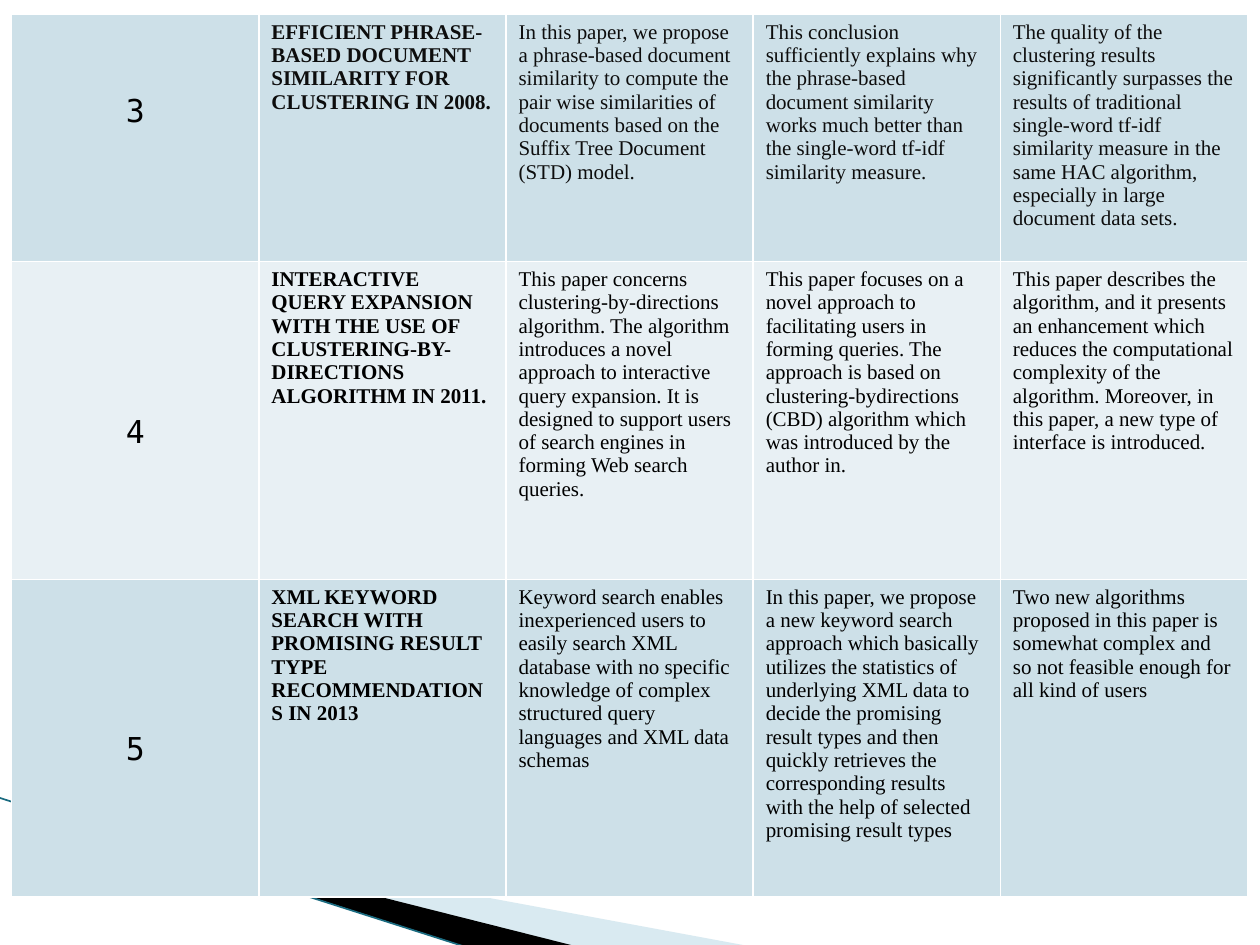
from lxml.etree import SubElement
from pptx import Presentation
from pptx.dml.color import RGBColor
from pptx.enum.text import PP_ALIGN
from pptx.oxml.ns import qn
from pptx.util import Inches, Pt

WIDE, HIGH = Inches(10), Inches(7.5)
ROWS = [
    (28, "CDE0E8", "0D0D0D", 2, [
        "3",
        "EFFICIENT PHRASE-BASED DOCUMENT SIMILARITY FOR CLUSTERING IN 2008.",
        "In this paper, we propose a phrase-based document similarity to compute the pair wise similarities of documents based on the Suffix Tree Document (STD) model.",
        "This conclusion sufficiently explains why the phrase-based document similarity works much better than the single-word tf-idf similarity measure.",
        "The quality of the clustering results significantly surpasses the results of traditional single-word tf-idf similarity measure in the same HAC algorithm, especially in large document data sets.",
    ]),
    (36, "E8F0F4", "000000", 4, [
        "4",
        "INTERACTIVE QUERY EXPANSION WITH THE USE OF CLUSTERING-BY-DIRECTIONS ALGORITHM IN 2011.",
        "This paper concerns clustering-by-directions algorithm. The algorithm introduces a novel approach to interactive query expansion. It is designed to support users of search engines in forming Web search queries.",
        "This paper focuses on a novel approach to facilitating users in forming queries. The approach is based on clustering-bydirections (CBD) algorithm which was introduced by the author in.",
        "This paper describes the algorithm, and it presents an enhancement which reduces the computational complexity of the algorithm. Moreover, in this paper, a new type of interface is introduced.",
    ]),
    (36, "CDE0E8", "000000", 4, [
        "5",
        "XML KEYWORD SEARCH WITH PROMISING RESULT TYPE RECOMMENDATIONS IN 2013",
        "Keyword search enables inexperienced users to easily search XML database with no specific knowledge of complex structured query languages and XML data schemas",
        "In this paper, we propose a new keyword search approach which basically utilizes the statistics of underlying XML data to decide the promising result types and then quickly retrieves the corresponding results with the help of selected promising result types",
        "Two new algorithms proposed in this paper is somewhat complex and so not feasible enough for all kind of users",
    ]),
]
BANDS = [
    ("A0CBDC", 40, (7.8, 72.93, 41.6, 21.07),
     [(9.17, 15.38), (99.17, 100.85), (76, 100.85), (9.17, 14.53)]),
    ("000000", 100, (-0.6, 84.4, 41.6, 12.27),
     [(8.83, 13.68), (76.17, 100.85), (62, 101.71), (9, 14.53)]),
]
NUMBER = {"size": Pt(18), "name": "DejaVu Sans Mono", "bold": False}
TITLE = {"size": Pt(12), "name": "Times New Roman", "bold": True}
BODY = {**TITLE, "bold": False}
LOOKS = [NUMBER, TITLE, BODY, BODY, BODY]
LINE = Inches(0.29)


def paint(color, value):
    color.rgb = RGBColor.from_string(value)


def share(left, top, width, height):
    return (round(WIDE * left / 100), round(HIGH * top / 100),
            round(WIDE * width / 100), round(HIGH * height / 100))


def point(box, x, y):
    left, top, width, height = box
    return round(left + width * x / 100), round(top + height * y / 100)


def set_frame(band, box):
    left, top, width, height = box
    trail = band._element.find(".//" + qn("a:path"))
    for spot in trail.iter(qn("a:pt")):
        spot.set("x", str(int(spot.get("x")) + band.left - left))
        spot.set("y", str(int(spot.get("y")) + band.top - top))
    trail.set("w", str(width))
    trail.set("h", str(height))
    band.left, band.top, band.width, band.height = box


def add_bands(slide, box):
    for color, alpha, frame, spots in BANDS:
        first, *rest = [point(box, *spot) for spot in spots]
        pen = slide.shapes.build_freeform(*first)
        pen.add_line_segments(rest)
        band = pen.convert_to_shape()
        set_frame(band, share(*frame))
        band.shadow.inherit = False
        band.line.fill.background()
        band.fill.solid()
        paint(band.fill.fore_color, color)
        if alpha < 100:
            tone = band.fill._xPr.find(".//" + qn("a:srgbClr"))
            SubElement(tone, qn("a:alpha"), val=str(alpha * 1000))
    edge = slide.shapes.add_connector(1, *point(box, -0.17, 0), *point(box, 61.83, 101.71))
    edge.line.width = Pt(0.95)
    paint(edge.line.color, "1A6B80")
    SubElement(edge._element.spPr, qn("a:effectLst"))


def add_rules(cell):
    props = cell._tc.get_or_add_tcPr()
    for spot, side in enumerate(("a:lnL", "a:lnR", "a:lnT", "a:lnB")):
        rule = props.makeelement(qn(side), {"w": str(Pt(1))})
        fill = SubElement(rule, qn("a:solidFill"))
        SubElement(fill, qn("a:srgbClr"), val="FFFFFF")
        props.insert(spot, rule)


def fill_cell(cell, text, back, ink, look):
    cell.fill.solid()
    paint(cell.fill.fore_color, back)
    add_rules(cell)
    run = cell.text_frame.paragraphs[0].add_run()
    run.text = text
    for name, value in look.items():
        setattr(run.font, name, value)
    paint(run.font.color, ink)


def add_grid(slide, box):
    table = slide.shapes.add_table(len(ROWS), len(LOOKS), *box).table
    table.first_row = table.horz_banding = False
    for column in table.columns:
        column.width = round(box[2] / len(LOOKS))
    for row, (part, back, ink, skip, texts) in zip(table.rows, ROWS):
        row.height = round(box[3] * part / 100)
        for cell, text, look in zip(row.cells, texts, LOOKS):
            fill_cell(cell, text, back, "000000" if look is NUMBER else ink, look)
        number = row.cells[0]
        number.margin_top = Inches(0.05) + LINE * skip
        number.text_frame.paragraphs[0].alignment = PP_ALIGN.CENTER


def main():
    deck = Presentation()
    deck.slide_width, deck.slide_height = WIDE, HIGH
    slide = deck.slides.add_slide(deck.slide_layouts[6])
    add_bands(slide, share(0, 84.4, 60, 15.6))
    add_grid(slide, share(0.92, 1.5, 98.1, 93.45))
    deck.save("out.pptx")


if __name__ == "__main__":
    main()
